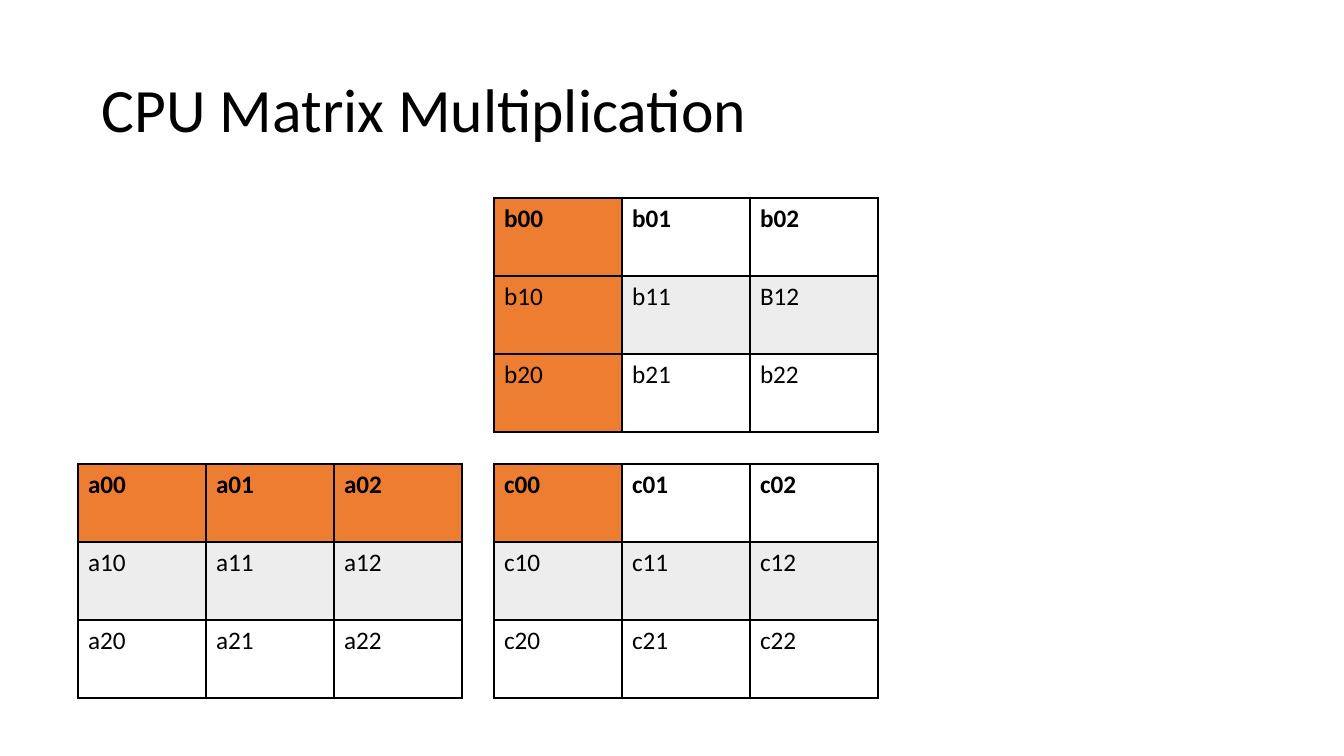
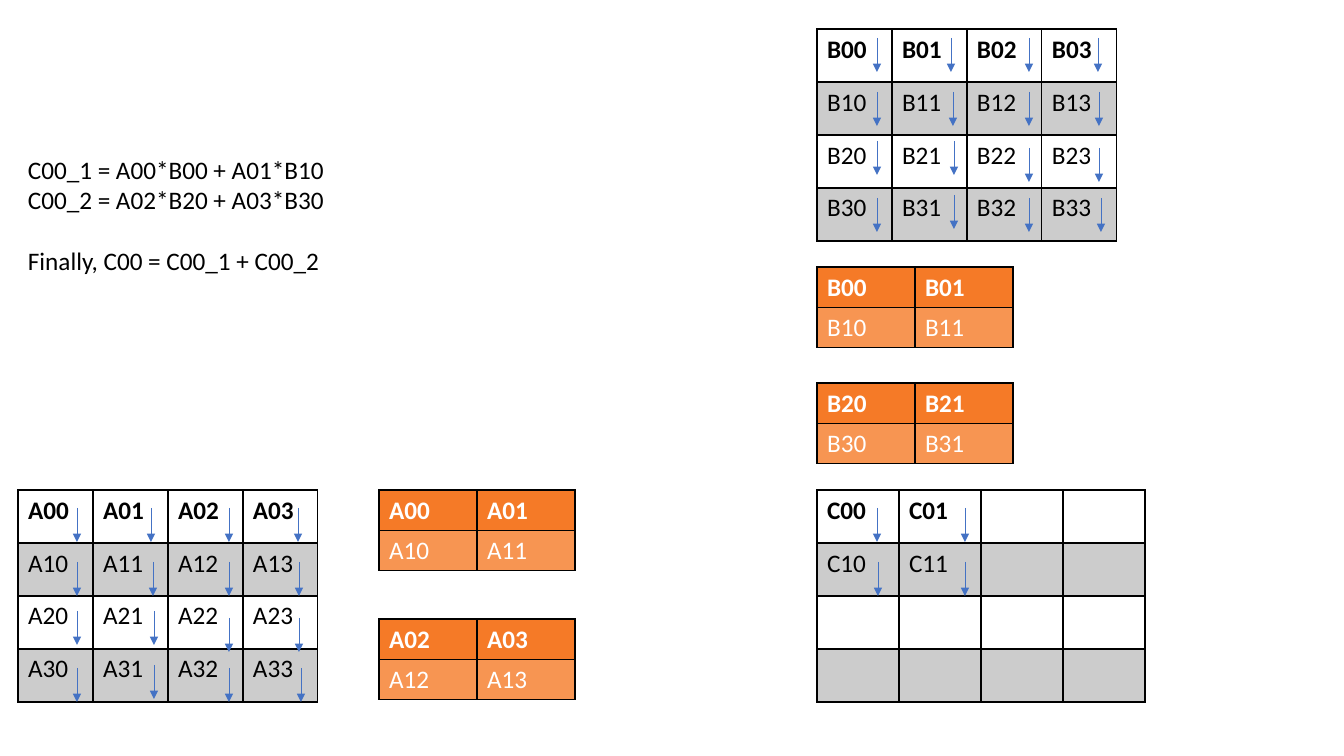
from dataclasses import dataclass, field
from typing import NamedTuple

from lxml.etree import SubElement
from pptx import Presentation
from pptx.dml.color import RGBColor
from pptx.enum.shapes import MSO_CONNECTOR as Connector
from pptx.enum.text import MSO_ANCHOR as Anchor
from pptx.oxml.ns import qn
from pptx.slide import Slide
from pptx.util import Emu, Pt

SLIDE_WIDTH, SLIDE_HEIGHT = 1344, 756
EMU_PER_PX = 12192000 / SLIDE_WIDTH
FONT = "Calibri"
BODY_SIZE, TITLE_SIZE = 18, 44
COLORS = {
    "black": "000000",
    "white": "FFFFFF",
    "light_gray": "EDEDED",
    "gray": "CCCCCC",
    "marked": "ED7D31",
    "tile": "F57A27",
    "tile_band": "F79552",
    "arrow": "4472C4",
}
ARROW_LENGTH = 34


class Theme(NamedTuple):
    plain: str
    band: str
    text: str


LIGHT = Theme("white", "light_gray", "black")
GRAY = Theme("white", "gray", "black")
TILE = Theme("tile", "tile_band", "white")


@dataclass(frozen=True)
class Matrix:
    """A square table whose cells are labelled by letter, row and column."""
    letter: str
    left: int
    top: int
    size: int
    column_width: int
    row_height: int
    theme: Theme
    first_row: int = 0
    first_column: int = 0
    labelled: int = 4
    marked: frozenset[tuple[int, int]] = frozenset()
    renamed: dict[tuple[int, int], str] = field(default_factory=dict)

    def label(self, row: int, column: int) -> str:
        if max(row, column) >= self.labelled:
            return ""
        name = f"{self.letter}{self.first_row + row}{self.first_column + column}"
        return self.renamed.get((row, column), name)

    def fill(self, row: int, column: int) -> str:
        if (row, column) in self.marked:
            return "marked"
        return self.theme.band if row % 2 else self.theme.plain


class ArrowGrid(NamedTuple):
    left: int
    top: int
    offsets: tuple[tuple[tuple[int, int], ...], ...]


def full_matrix(letter: str, left: int, top: int, **options) -> Matrix:
    return Matrix(letter, left, top, 3, 128, 78, LIGHT, **options)


def tile(letter: str, left: int, top: int, row: int = 0, column: int = 0) -> Matrix:
    return Matrix(letter, left, top, 2, 98, 40, TILE, row, column)


FIRST_COLUMN = frozenset((index, 0) for index in range(3))
FIRST_ROW = frozenset((0, index) for index in range(3))
CPU_MATRICES = (
    full_matrix("a", 78, 464, marked=FIRST_ROW),
    full_matrix("b", 494, 198, marked=FIRST_COLUMN, renamed={(1, 2): "B12"}),
    full_matrix("c", 494, 464, marked=frozenset({(0, 0)})),
)
TILED_MATRICES = (
    Matrix("A", 18, 490, 4, 75, 53, GRAY),
    tile("A", 379, 490),
    tile("B", 817, 267),
    Matrix("C", 817, 490, 4, 82, 53, GRAY, labelled=2),
    tile("A", 379, 619, column=2),
    tile("B", 817, 383, row=2),
    Matrix("B", 817, 29, 4, 75, 53, GRAY),
)
INPUT_OFFSETS = (
    ((59, 0), (133, 0), (211, 0), (280, 0)),
    ((59, 54), (135, 54), (211, 54), (281, 54)),
    ((59, 103), (136, 103), (211, 110), (281, 110)),
    ((59, 160), (136, 157), (211, 160), (283, 160)),
)
RESULT_OFFSETS = (((59, 0), (147, 0)), ((60, 54), (147, 54)))
ARROW_GRIDS = (
    ArrowGrid(18, 508, INPUT_OFFSETS),
    ArrowGrid(818, 38, INPUT_OFFSETS),
    ArrowGrid(818, 508, RESULT_OFFSETS),
)
EQUATIONS = (
    ("C00_1 = A00*B00 + A01*B10", 0),
    ("C00_2 = A02*B20 + A03*B30", 0),
    ("Finally, C00 = C00_1 + C00_2", 22),
)


def px(length: int) -> Emu:
    return Emu(round(length * EMU_PER_PX))


def rgb(name: str) -> RGBColor:
    return RGBColor.from_string(COLORS[name])


def add_run(paragraph, text: str, size: int, color: str = "black",
            bold: bool = False) -> None:
    run = paragraph.add_run()
    run.text = text
    run.font.name = FONT
    run.font.size = Pt(size)
    run.font.bold = bold
    run.font.color.rgb = rgb(color)


def add_text_frame(slide: Slide, left: int, top: int, width: int, height: int):
    shape = slide.shapes.add_textbox(px(left), px(top), px(width), px(height))
    shape.text_frame.word_wrap = True
    return shape.text_frame


def add_title(slide: Slide, text: str) -> None:
    frame = add_text_frame(slide, 92, 40, 1159, 146)
    frame.vertical_anchor = Anchor.MIDDLE
    paragraph = frame.paragraphs[0]
    paragraph.line_spacing = 0.9
    add_run(paragraph, text, TITLE_SIZE)


def add_equations(slide: Slide) -> None:
    frame = add_text_frame(slide, 18, 149, 342, 132)
    for index, (text, space_before) in enumerate(EQUATIONS):
        paragraph = frame.add_paragraph() if index else frame.paragraphs[0]
        paragraph.space_before = Pt(space_before)
        add_run(paragraph, text, BODY_SIZE)


def set_borders(cell) -> None:
    """Rule all four sides; call before filling, as borders come first."""
    properties = cell._tc.get_or_add_tcPr()
    for side in ("a:lnL", "a:lnR", "a:lnT", "a:lnB"):
        border = SubElement(properties, qn(side), w=str(Pt(1)))
        solid = SubElement(border, qn("a:solidFill"))
        SubElement(solid, qn("a:srgbClr"), val=COLORS["black"])


def add_matrix(slide: Slide, matrix: Matrix) -> None:
    size = matrix.size
    table = slide.shapes.add_table(
        size, size, px(matrix.left), px(matrix.top),
        px(size * matrix.column_width), px(size * matrix.row_height)).table
    table.horz_banding = False
    table.first_row = False
    for index in range(size):
        table.columns[index].width = px(matrix.column_width)
        table.rows[index].height = px(matrix.row_height)
    for row in range(size):
        for column in range(size):
            cell = table.cell(row, column)
            set_borders(cell)
            cell.fill.solid()
            cell.fill.fore_color.rgb = rgb(matrix.fill(row, column))
            label = matrix.label(row, column)
            if label:
                add_run(cell.text_frame.paragraphs[0], label, BODY_SIZE,
                        matrix.theme.text, bold=row == 0)


def add_down_arrow(slide: Slide, x: int, y: int) -> None:
    connector = slide.shapes.add_connector(
        Connector.STRAIGHT, px(x), px(y), px(x), px(y + ARROW_LENGTH))
    connector.line.color.rgb = rgb("arrow")
    connector.line.width = Pt(0.5)
    properties = connector._element.spPr
    SubElement(properties.find(qn("a:ln")), qn("a:tailEnd"), type="triangle")
    SubElement(properties, qn("a:effectLst"))


def add_arrow_grid(slide: Slide, grid: ArrowGrid) -> None:
    for row in grid.offsets:
        for x, y in row:
            add_down_arrow(slide, grid.left + x, grid.top + y)


def main() -> None:
    presentation = Presentation()
    presentation.slide_width = px(SLIDE_WIDTH)
    presentation.slide_height = px(SLIDE_HEIGHT)
    blank = presentation.slide_layouts[6]

    cpu_slide = presentation.slides.add_slide(blank)
    add_title(cpu_slide, "CPU Matrix Multiplication")
    for matrix in CPU_MATRICES:
        add_matrix(cpu_slide, matrix)

    tiled_slide = presentation.slides.add_slide(blank)
    for matrix in TILED_MATRICES:
        add_matrix(tiled_slide, matrix)
    add_equations(tiled_slide)
    for grid in ARROW_GRIDS:
        add_arrow_grid(tiled_slide, grid)

    presentation.save("out.pptx")


if __name__ == "__main__":
    main()
